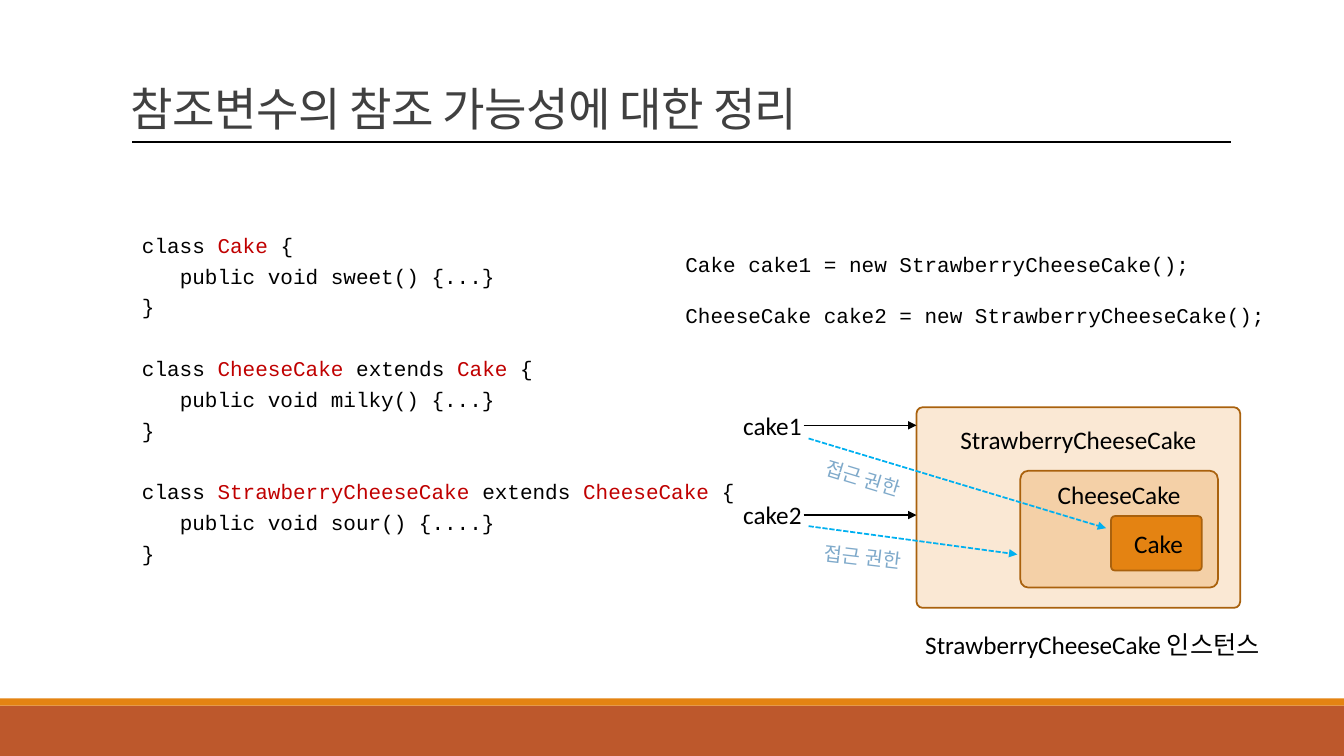
from lxml import etree
from pptx import Presentation
from pptx.dml.color import RGBColor
from pptx.enum.dml import MSO_LINE_DASH_STYLE as DASH
from pptx.enum.shapes import MSO_CONNECTOR, MSO_SHAPE
from pptx.enum.text import MSO_ANCHOR, PP_ALIGN
from pptx.oxml.ns import qn
from pptx.util import Inches, Pt

BLACK = RGBColor(0x00, 0x00, 0x00)
GRAY = RGBColor(0x40, 0x40, 0x40)
RED = RGBColor(0xC0, 0x00, 0x00)
ORANGE = RGBColor(0xE4, 0x83, 0x12)
BROWN = RGBColor(0xA9, 0x61, 0x0D)
RUST = RGBColor(0xBD, 0x58, 0x2C)
SKY = RGBColor(0x00, 0xB0, 0xF0)
PALE_BLUE = RGBColor(0x7E, 0xA9, 0xCA)
BODY, CODE = "Calibri", "Courier New"

CLASSES = [
    ("Cake", None, "public void sweet() {...}"),
    ("CheeseCake", "Cake", "public void milky() {...}"),
    ("StrawberryCheeseCake", "CheeseCake", "public void sour() {....}"),
]
DECLARATIONS = [
    "Cake cake1 = new StrawberryCheeseCake();",
    "CheeseCake cake2 = new StrawberryCheeseCake();",
]


def add_box(s, kind, x, y, w, h, fill, line=None, radius=None, opacity=None):
    sp = s.shapes.add_shape(kind, Inches(x), Inches(y), Inches(w), Inches(h))
    sp.shadow.inherit = False
    sp.fill.solid()
    sp.fill.fore_color.rgb = fill
    if opacity:
        color = sp.fill._xPr.find(".//" + qn("a:srgbClr"))
        etree.SubElement(color, qn("a:alpha"), val=str(opacity * 1000))
    if line:
        sp.line.color.rgb = line
        sp.line.width = Pt(1.25)
    else:
        sp.line.fill.background()
    if radius:
        sp.adjustments[0] = radius


def add_frame(s, x, y, w, h, anchor=MSO_ANCHOR.TOP):
    sp = s.shapes.add_textbox(Inches(x), Inches(y), Inches(w), Inches(h))
    sp.text_frame.word_wrap = True
    sp.text_frame.vertical_anchor = anchor
    return sp


def style(r, size, color=BLACK, font=BODY):
    r.font.size = Pt(size)
    r.font.name = font
    r.font.color.rgb = color


def add_label(s, text, x, y, w, h=0.59, size=18, color=BLACK, angle=0, spacing=None):
    sp = add_frame(s, x, y, w, h, MSO_ANCHOR.MIDDLE)
    sp.rotation = angle
    p = sp.text_frame.paragraphs[0]
    p.text = text
    p.alignment = PP_ALIGN.CENTER
    p.line_spacing = spacing
    style(p.runs[0], size, color)


def add_line(s, x1, y1, x2, y2, color=BLACK, width=1, arrow=False, dash=None):
    ln = s.shapes.add_connector(
        MSO_CONNECTOR.STRAIGHT, Inches(x1), Inches(y1), Inches(x2), Inches(y2))
    ln.line.color.rgb = color
    ln.line.width = Pt(width)
    if dash:
        ln.line.dash_style = dash
    if arrow:
        etree.SubElement(ln.line._get_or_add_ln(), qn("a:tailEnd"), type="triangle")
    etree.SubElement(ln._element.spPr, qn("a:effectLst"))


def add_footer(s, x, y, w):
    add_box(s, MSO_SHAPE.RECTANGLE, x, y + 0.07, w, 0.5, RUST)
    add_box(s, MSO_SHAPE.RECTANGLE, x, y, w, 0.07, ORANGE)


def add_title(s, x, y, w, h):
    p = add_frame(s, x, y, w, h, MSO_ANCHOR.BOTTOM).text_frame.paragraphs[0]
    p.text = "참조변수의 참조 가능성에 대한 정리"
    p.line_spacing = 0.85
    style(p.runs[0], 33, GRAY)
    p.runs[0].font._element.set("spc", "-50")
    add_line(s, x + 0.11, y + h + 0.01, x + w + 0.01, y + h + 0.01)


def add_code_line(tf, parts, first=False):
    p = tf.paragraphs[0] if first else tf.add_paragraph()
    p.line_spacing = Pt(22)
    for text, color in parts:
        r = p.add_run()
        r.text = text
        style(r, 15, color, CODE)
    return p


def add_class_code(s, x, y, w, h):
    tf = add_frame(s, x, y, w, h).text_frame
    for i, (name, parent, method) in enumerate(CLASSES):
        head = [("class ", BLACK), (name, RED)]
        if parent:
            head += [(" extends ", BLACK), (parent, RED)]
        p = add_code_line(tf, head + [(" {", BLACK)], first=i == 0)
        if i:
            p.space_before = Pt(22)
        p = add_code_line(tf, [(method, BLACK)])
        p._p.get_or_add_pPr().set("marL", str(Pt(27)))
        add_code_line(tf, [("}", BLACK)])


def add_declarations(s, x, y, w, h):
    tf = add_frame(s, x, y, w, h).text_frame
    for i, text in enumerate(DECLARATIONS):
        add_code_line(tf, [(text, BLACK)], first=i == 0).line_spacing = 2.0


def add_instance_diagram(s, x, y):
    nested = [(1.95, 0.11, 3.21, 1.99, 0.031, 18),
              (2.98, 0.74, 1.96, 1.16, 0.07, 23),
              (3.88, 1.19, 0.9, 0.54, 0.07, None)]
    for dx, dy, w, h, radius, opacity in nested:
        add_box(s, MSO_SHAPE.ROUNDED_RECTANGLE, x + dx, y + dy, w, h,
                ORANGE, BROWN, radius, opacity)

    labels = [("Cake", 3.83, 1.17, 1.04), ("CheeseCake", 2.98, 0.68, 1.96),
              ("StrawberryCheeseCake", 1.95, 0.13, 3.21),
              ("cake1", 0, 0, 1.04), ("cake2", 0, 0.88, 1.04)]
    for text, dx, dy, w in labels:
        add_label(s, text, x + dx, y + dy, w)
    add_label(s, "StrawberryCheeseCake 인스턴스", x + 1.49, y + 1.87, 4.41, 1.03, spacing=1.5)

    for dy in (0.29, 1.18):
        add_line(s, x + 0.83, y + dy, x + 1.95, y + dy, arrow=True)
    for dy, end_x, end_y in ((0.42, 3.83, 1.31), (1.29, 2.95, 1.57)):
        add_line(s, x + 0.88, y + dy, x + end_x, y + end_y, SKY, 1.25, True, DASH.SQUARE_DOT)
    for dy, angle in ((1.3, 6.5), (0.52, 16.9)):
        add_label(s, "접근 권한", x + 0.75, y + dy, 1.34, size=14, color=PALE_BLUE, angle=angle)


prs = Presentation()
prs.slide_width, prs.slide_height = Inches(13.33), Inches(7.5)
s = prs.slides.add_slide(prs.slide_layouts[6])
add_footer(s, 0, 6.93, 13.33)
add_title(s, 1.2, 0.14, 11, 1.26)
add_class_code(s, 1.31, 2.2, 6.67, 3.49)
add_declarations(s, 6.7, 2.2, 6.6, 1.04)
add_instance_diagram(s, 7.14, 3.93)
prs.save("out.pptx")
